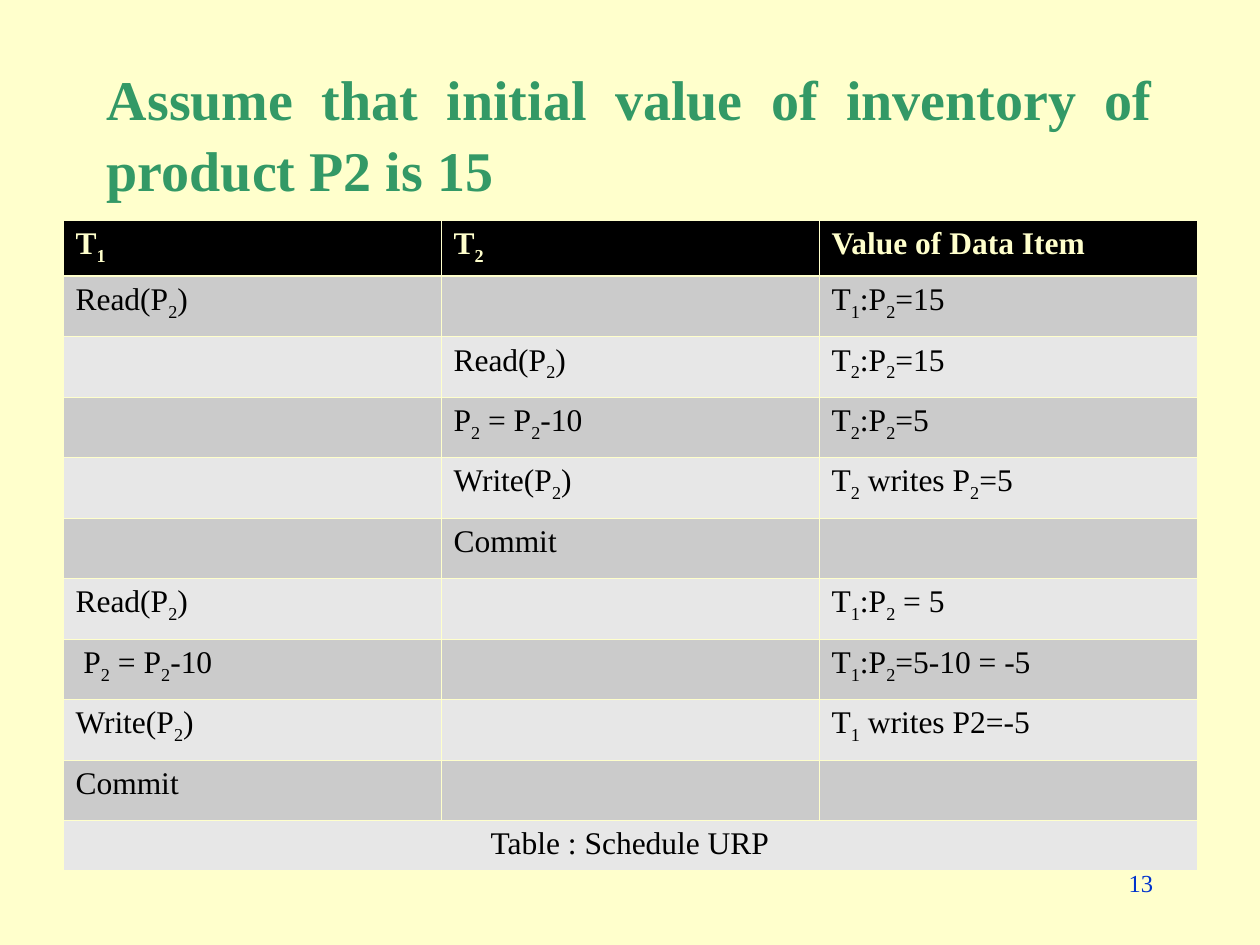
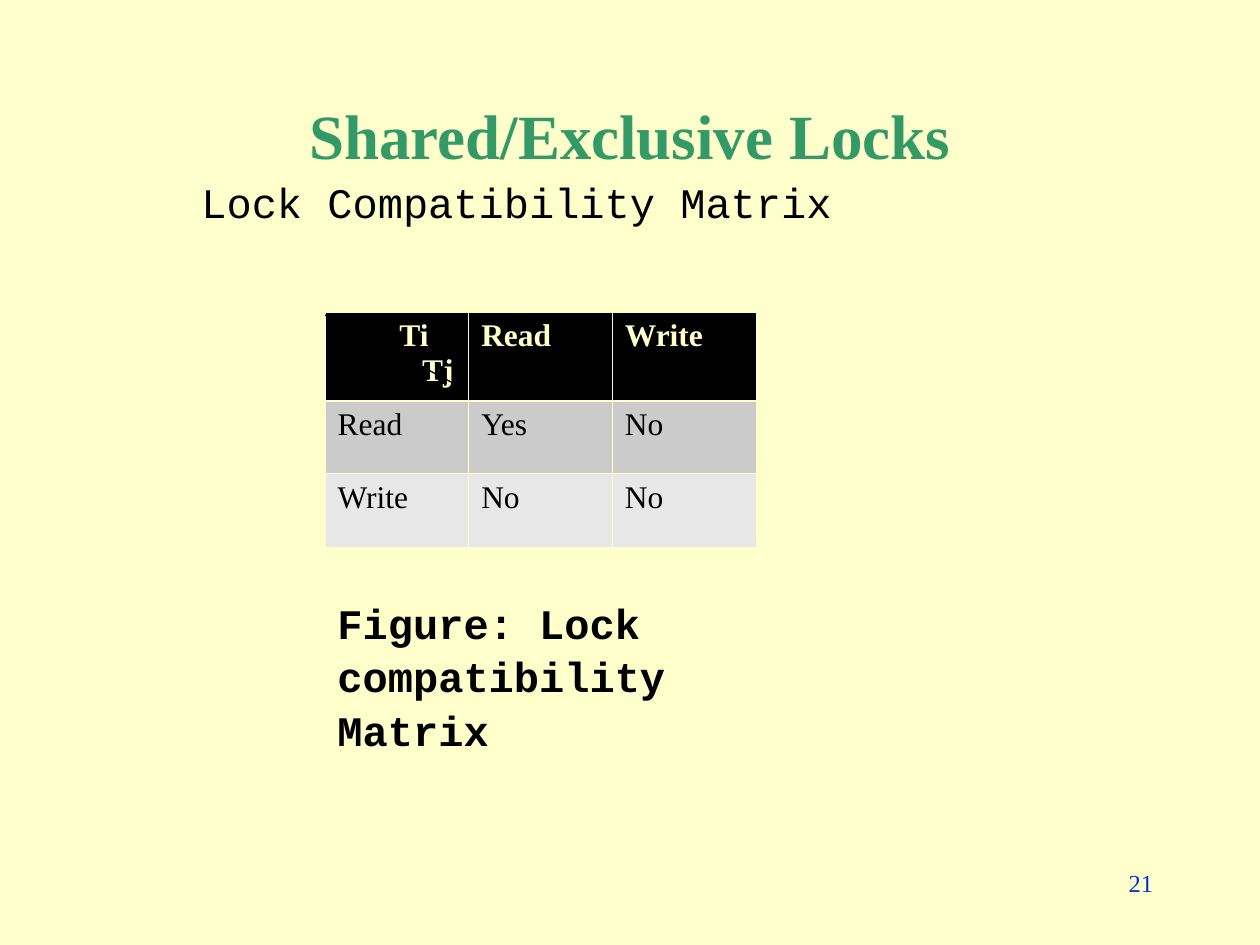
from pptx import Presentation
from pptx.dml.color import RGBColor
from pptx.enum.shapes import MSO_CONNECTOR
from pptx.enum.text import MSO_ANCHOR, PP_ALIGN
from pptx.oxml.ns import qn
from pptx.util import Inches, Pt
from lxml import etree

LEFT, CENTER, RIGHT = PP_ALIGN.LEFT, PP_ALIGN.CENTER, PP_ALIGN.RIGHT
JUSTIFY = PP_ALIGN.JUSTIFY
TOP, MIDDLE = MSO_ANCHOR.TOP, MSO_ANCHOR.MIDDLE
STRAIGHT = MSO_CONNECTOR.STRAIGHT

CREAM, GREEN, BLUE, BLACK = "FFFFCC", "339966", "0033CC", "000000"
BANDS = ("CBCBCB", "E7E7E7")
SERIF, MONO = "Times New Roman", "Courier New"
THIN, THICK = 0.45, 1.47
BLANK_LAYOUT = 6


def color(hex_string):
    return RGBColor.from_string(hex_string)


class Deck:
    def __init__(self):
        self.presentation = Presentation()
        self.presentation.slide_width = Inches(10)
        self.presentation.slide_height = Inches(7.5)
        self.slide = None

    def add_slide(self, title, title_size, title_align, number):
        layout = self.presentation.slide_layouts[BLANK_LAYOUT]
        self.slide = self.presentation.slides.add_slide(layout)
        fill = self.slide.background.fill
        fill.solid()
        fill.fore_color.rgb = color(CREAM)
        self.text(title, (0.75, 0.67, 8.5, 0.75), title_size, GREEN,
                  bold=True, align=title_align, anchor=MIDDLE)
        self.text(number, (7.17, 6.83, 2.08, 0.5), 14, BLUE, align=RIGHT)

    def add_runs(self, paragraph, text, size, ink, font=SERIF, bold=False, align=LEFT):
        paragraph.alignment = align
        first, *rest = text.split("_")
        pieces = [(first, False)]
        for part in rest:
            pieces += [(part[0], True), (part[1:], False)]
        for piece, subscript in pieces:
            if not piece:
                continue
            run = paragraph.add_run()
            run.text = piece
            run.font.name = font
            run.font.size = Pt(size)
            run.font.bold = bold
            run.font.color.rgb = color(ink)
            if subscript:
                run._r.get_or_add_rPr().set("baseline", "-25000")

    def text(self, text, box, size, ink, font=SERIF, bold=False, align=LEFT, anchor=TOP):
        shape = self.slide.shapes.add_textbox(*map(Inches, box))
        frame = shape.text_frame
        frame.word_wrap = True
        frame.vertical_anchor = anchor
        paragraph = frame.paragraphs[0]
        paragraph.line_spacing = 1.06
        self.add_runs(paragraph, text, size, ink, font, bold, align)

    def borders(self, cell, row_index):
        widths = {"a:lnL": THIN, "a:lnR": THIN,
                  "a:lnT": THICK if row_index == 1 else THIN,
                  "a:lnB": THICK if row_index == 0 else THIN}
        properties = cell._tc.get_or_add_tcPr()
        for tag, width in widths.items():
            line = etree.SubElement(properties, qn(tag), w=str(Pt(width)))
            fill = etree.SubElement(line, qn("a:solidFill"))
            etree.SubElement(fill, qn("a:srgbClr"), val=CREAM)

    def table(self, rows, left, top, column_width, row_heights):
        column_count = len(rows[0])
        frame = self.slide.shapes.add_table(
            len(rows), column_count, Inches(left), Inches(top),
            Inches(column_width * column_count), Inches(sum(row_heights)))
        table = frame.table
        for column in table.columns:
            column.width = Inches(column_width)
        for row_index, (values, height) in enumerate(zip(rows, row_heights)):
            table.rows[row_index].height = Inches(height)
            header = row_index == 0
            for column_index, value in enumerate(values):
                cell = table.cell(row_index, column_index)
                self.borders(cell, row_index)
                cell.fill.solid()
                cell.fill.fore_color.rgb = color(BLACK if header else BANDS[(row_index - 1) % 2])
                self.add_runs(cell.text_frame.paragraphs[0], value, 18,
                              CREAM if header else BLACK, bold=header)
        return table

    def line(self, start, end, ink, width):
        connector = self.slide.shapes.add_connector(STRAIGHT, *map(Inches, start + end))
        connector.line.color.rgb = color(ink)
        connector.line.width = Pt(width)
        etree.SubElement(connector._element.spPr, qn("a:effectLst"))


def build_schedule(deck):
    deck.add_slide("Assume that initial value of inventory of product P2 is 15", 32, JUSTIFY, "13")
    schedule = [
        ("T_1", "T_2", "Value of Data Item"),
        ("Read(P_2)", "", "T_1:P_2=15"),
        ("", "Read(P_2)", "T_2:P_2=15"),
        ("", "P_2 = P_2-10", "T_2:P_2=5"),
        ("", "Write(P_2)", "T_2 writes P_2=5"),
        ("", "Commit", ""),
        ("Read(P_2)", "", "T_1:P_2 = 5"),
        (" P_2 = P_2-10", "", "T_1:P_2=5-10 = -5"),
        ("Write(P_2)", "", "T_1 writes P2=-5"),
        ("Commit", "", ""),
        ("Table : Schedule URP", "", ""),
    ]
    table = deck.table(schedule, 0.5, 1.75, 3, [0.42] + [0.48] * 9 + [0.37])
    caption = table.cell(len(schedule) - 1, 0)
    caption.merge(table.cell(len(schedule) - 1, 2))
    caption.text_frame.paragraphs[0].alignment = CENTER


def build_locks(deck):
    deck.add_slide("Shared/Exclusive Locks", 36, CENTER, "21")
    matrix = [
        ("Ti", "Read", "Write"),
        ("Read", "Yes", "No"),
        ("Write", "No", "No"),
    ]
    table = deck.table(matrix, 2.58, 2.48, 1.14, [0.7, 0.58, 0.58])
    corner = table.cell(0, 0).text_frame
    deck.add_runs(corner.add_paragraph(), "Tj", 18, CREAM, bold=True)
    for paragraph, indent in zip(corner.paragraphs, (0.49, 0.67)):
        paragraph._p.get_or_add_pPr().set("marL", str(Inches(indent)))
    deck.text("Lock Compatibility Matrix", (1.5, 1.33, 5.83, 0.5), 24, BLACK, MONO)
    deck.text("Figure: Lock compatibility Matrix", (2.58, 4.67, 3.92, 1.3), 24, BLACK, MONO, bold=True)
    deck.line((2.58, 2.5), (3.67, 3.08), BLACK, 0.75)


def main():
    deck = Deck()
    build_schedule(deck)
    build_locks(deck)
    deck.presentation.save("out.pptx")


if __name__ == "__main__":
    main()
